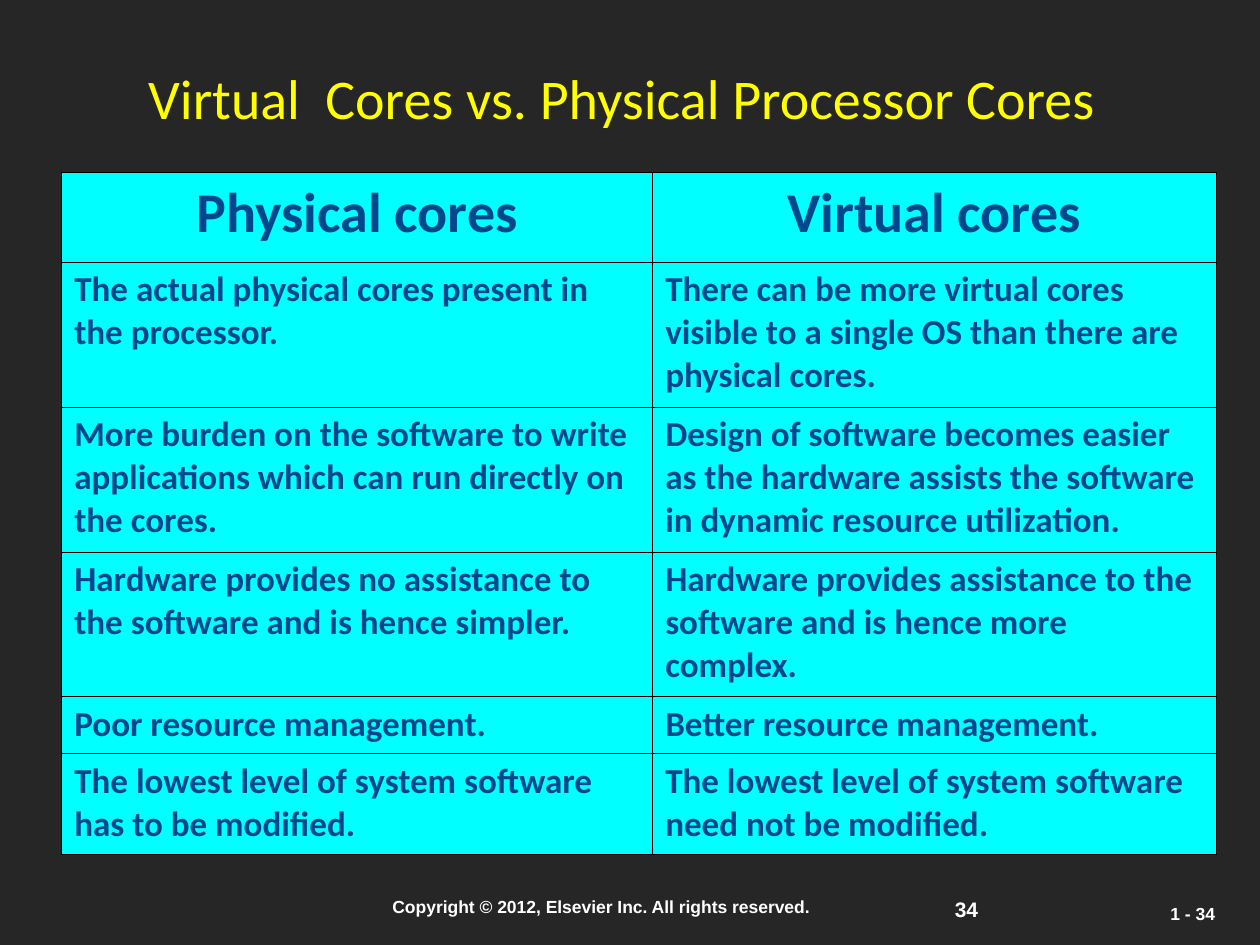
from dataclasses import dataclass

from lxml.etree import SubElement
from pptx import Presentation
from pptx.dml.color import RGBColor as RGB
from pptx.enum.text import MSO_ANCHOR as Anchor, PP_ALIGN as Align
from pptx.oxml import parse_xml
from pptx.oxml.ns import nsdecls, qn
from pptx.util import Inches, Pt

COLORS = {
    "background": "262626",
    "title": "FFFF00",
    "footer": "FFFFFF",
    "cell": "00FFFF",
    "cell_text": "00478E",
    "border": "000000",
}
FORMATS = {
    "title": {"name": "Calibri", "size": Pt(32), "bold": False},
    "header": {"name": "Calibri", "size": Pt(32), "bold": True},
    "body": {"name": "Calibri", "size": Pt(20), "bold": True},
    "page": {"name": "Arial", "size": Pt(12), "bold": True},
    "footer": {"name": "Arial", "size": Pt(10), "bold": True},
}


@dataclass
class Label:
    text: str
    left: float
    top: float
    width: float
    height: float
    style: str
    color: str = "footer"
    align: Align = Align.LEFT
    anchor: Anchor = Anchor.TOP


LABELS = [
    Label("34", 7.48, 7.07, 0.57, 0.3, "page"),
    Label("Copyright © 2012, Elsevier Inc. All rights reserved.",
          2.57, 7.06, 4.4, 0.27, "footer", align=Align.CENTER),
    Label("1 - 34", 9.19, 7.12, 0.81, 0.27, "footer"),
]
TITLE = Label("Virtual  Cores vs. Physical Processor Cores",
              0.34, 0.45, 9.19, 0.64, "title", "title", Align.CENTER, Anchor.MIDDLE)

COLUMN_WIDTHS = [4.69, 4.47]
ROW_HEIGHTS = [0.71, 1.15, 1.15, 1.15, 0.45, 0.8]
ROWS = [
    ("Physical cores", "Virtual cores"),
    ("The actual physical cores present in the processor.",
     "There can be more virtual cores visible to a single OS than there are physical cores."),
    ("More burden on the software to write applications which can run directly on the cores.",
     "Design of software becomes easier as the hardware assists the software "
     "in dynamic resource utilization."),
    ("Hardware provides no assistance to the software and is hence simpler.",
     "Hardware provides assistance to the software and is hence more complex."),
    ("Poor resource management.", "Better resource management."),
    ("The lowest level of system software has to be modified.",
     "The lowest level of system software need not be modified."),
]


def color(name: str) -> RGB:
    return RGB.from_string(COLORS[name])


def write(tf, text: str, style: str, color_name: str, align: Align):
    tf.word_wrap = True
    p = tf.paragraphs[0]
    p.alignment = align
    r = p.add_run()
    r.text = text
    for key, value in FORMATS[style].items():
        setattr(r.font, key, value)
    r.font.color.rgb = color(color_name)
    return r


def add_label(s, label: Label):
    box = s.shapes.add_textbox(Inches(label.left), Inches(label.top),
                               Inches(label.width), Inches(label.height))
    box.text_frame.vertical_anchor = label.anchor
    return write(box.text_frame, label.text, label.style, label.color, label.align)


def add_text_shadow(r) -> None:
    effect = parse_xml(
        f'<a:effectLst {nsdecls("a")}><a:outerShdw dist="25400" dir="2700000">'
        '<a:srgbClr val="000000"/></a:outerShdw></a:effectLst>')
    r.font.fill._xPr.find(qn("a:solidFill")).addnext(effect)


def add_borders(cell) -> None:
    tc_pr = cell._tc.get_or_add_tcPr()
    for side in ("lnL", "lnR", "lnT", "lnB"):
        ln = SubElement(tc_pr, qn(f"a:{side}"), w=str(Pt(0.45)))
        fill = SubElement(ln, qn("a:solidFill"))
        SubElement(fill, qn("a:srgbClr"), val=COLORS["border"])


def add_comparison(s) -> None:
    table = s.shapes.add_table(
        len(ROWS), len(COLUMN_WIDTHS), Inches(0.49), Inches(1.37),
        Inches(sum(COLUMN_WIDTHS)), Inches(sum(ROW_HEIGHTS))).table
    for column, width in zip(table.columns, COLUMN_WIDTHS):
        column.width = Inches(width)
    for i, (texts, height) in enumerate(zip(ROWS, ROW_HEIGHTS)):
        table.rows[i].height = Inches(height)
        style, align = ("body", Align.LEFT) if i else ("header", Align.CENTER)
        for j, text in enumerate(texts):
            cell = table.cell(i, j)
            add_borders(cell)
            cell.fill.solid()
            cell.fill.fore_color.rgb = color("cell")
            write(cell.text_frame, text, style, "cell_text", align)


def main() -> None:
    prs = Presentation()
    prs.slide_width, prs.slide_height = Inches(10), Inches(7.5)
    s = prs.slides.add_slide(prs.slide_layouts[6])
    s.background.fill.solid()
    s.background.fill.fore_color.rgb = color("background")
    for label in LABELS:
        add_label(s, label)
    add_text_shadow(add_label(s, TITLE))
    add_comparison(s)
    prs.save("out.pptx")


if __name__ == "__main__":
    main()
